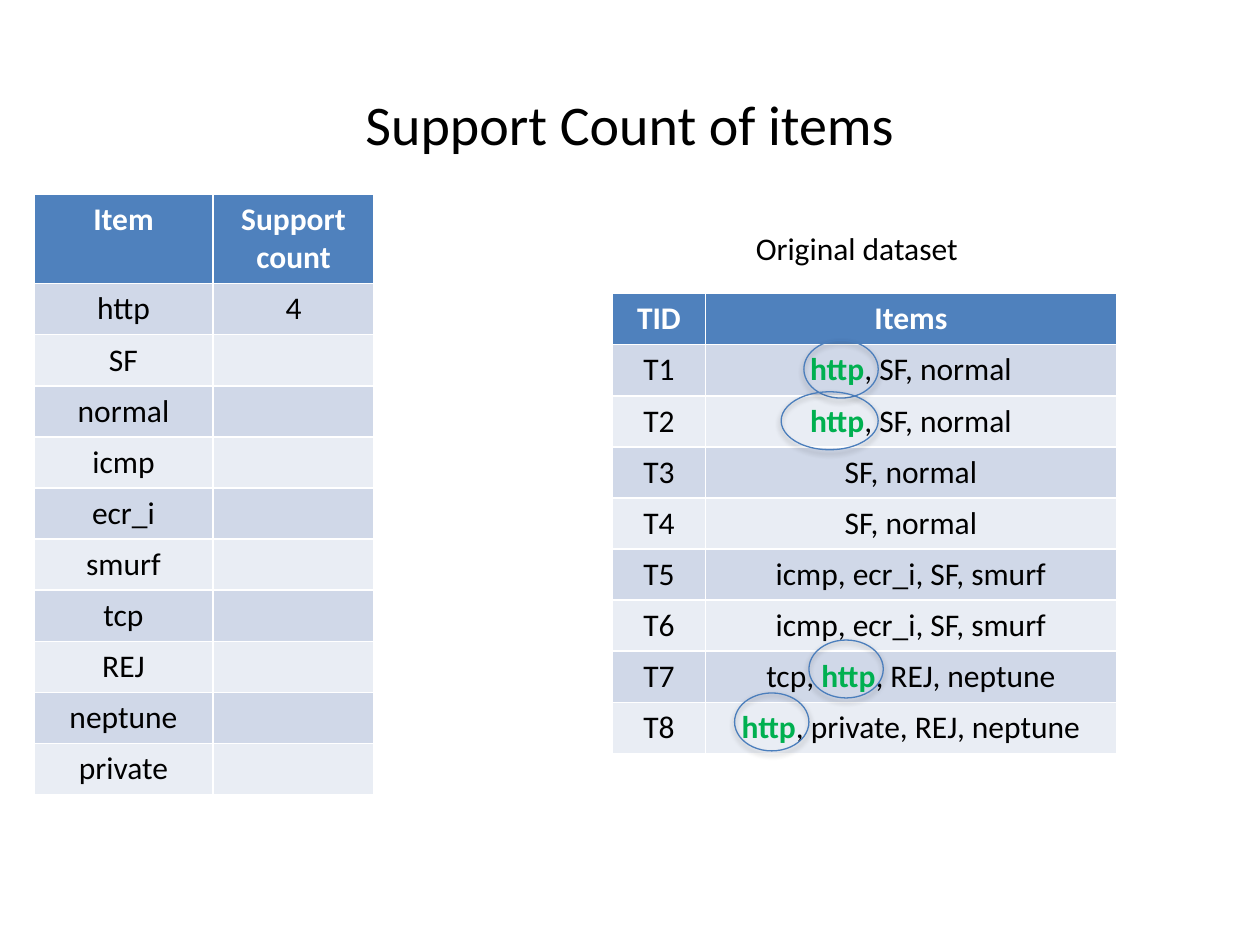
from dataclasses import dataclass

from pptx import Presentation
from pptx.dml.color import RGBColor
from pptx.enum.shapes import MSO_SHAPE
from pptx.enum.text import MSO_ANCHOR, PP_ALIGN
from pptx.util import Inches, Pt


@dataclass(frozen=True)
class Theme:
    font: str = "Calibri"
    title: int = 32
    body: int = 18
    ink: str = "000000"
    white: str = "FFFFFF"
    head: str = "4F81BD"
    bands: tuple = ("D0D8E8", "E9EDF4")
    mark: str = "00B050"
    ring: str = "4B7EBC"


THEME = Theme()
COLS, ROWS = 100, 75
UNIT = Inches(10) // COLS  # the grid has square cells
LINE = 4  # grid rows per table row
KEY = "http"

COUNTS = [("Item", "Support count"), (KEY, "4")] + [
    (item, "") for item in ("SF", "normal", "icmp", "ecr_i", "smurf",
                            "tcp", "REJ", "neptune", "private")]
BASKETS = ["http, SF, normal"] * 2 + ["SF, normal"] * 2 + [
    "icmp, ecr_i, SF, smurf"] * 2 + [
    "tcp, http, REJ, neptune", "http, private, REJ, neptune"]
DATA = [("TID", "Items")] + [
    (f"T{num}", text) for num, text in enumerate(BASKETS, 1)]

# Left, top and width of each ring, in grid cells
RINGS = [(63.8, 27, 5.9), (62, 31.1, 7.7), (64.2, 50.8, 5.9), (58.3, 55, 5.9)]
RING_H = 4.6


def grid(*cells):
    return [round(cell * UNIT) for cell in cells]


def style(font, color, size=THEME.body, bold=False):
    font.name = THEME.font
    font.size = Pt(size)
    font.bold = bold
    font.color.rgb = RGBColor.from_string(color)


def add_title(slide, text):
    title = slide.shapes.title
    title.left, title.top, title.width, title.height = grid(0, 6.6, COLS, 6.4)
    frame = title.text_frame
    frame.text = text
    frame.vertical_anchor = MSO_ANCHOR.MIDDLE
    para = frame.paragraphs[0]
    para.alignment = PP_ALIGN.CENTER
    style(para.runs[0].font, THEME.ink, THEME.title)


def add_label(slide, text, *box):
    frame = slide.shapes.add_textbox(*grid(*box)).text_frame
    frame.word_wrap = True
    frame.text = text
    style(frame.paragraphs[0].runs[0].font, THEME.ink)


def fill_cell(cell, text, row):
    """Write a cell, with the key item picked out in body rows."""
    color = THEME.bands[(row - 1) % 2] if row else THEME.head
    cell.fill.solid()
    cell.fill.fore_color.rgb = RGBColor.from_string(color)
    para = cell.text_frame.paragraphs[0]
    para.alignment = PP_ALIGN.CENTER
    style(para.font, THEME.ink if row else THEME.white, bold=not row)
    before, key, after = text.partition(KEY)
    for part in filter(None, (before, key, after)):
        run = para.add_run()
        run.text = part
        marked = part == KEY and text != KEY
        ink = THEME.mark if marked else THEME.ink
        style(run.font, ink if row else THEME.white, bold=marked or not row)


def add_grid(slide, data, left, top, widths):
    box = grid(left, top, sum(widths), LINE * len(data))
    table = slide.shapes.add_table(len(data), len(widths), *box).table
    for col, width in zip(table.columns, grid(*widths)):
        col.width = width
    for row, texts in enumerate(data):
        for col, text in enumerate(texts):
            fill_cell(table.cell(row, col), text, row)


def add_ring(slide, left, top, width):
    # The ring keeps the soft shadow of the theme
    ring = slide.shapes.add_shape(
        MSO_SHAPE.OVAL, *grid(left, top, width, RING_H))
    ring.fill.background()
    ring.line.color.rgb = RGBColor.from_string(THEME.ring)
    ring.line.width = Pt(0.75)


def main():
    deck = Presentation()
    deck.slide_width, deck.slide_height = grid(COLS, ROWS)
    slide = deck.slides.add_slide(deck.slide_layouts[5])

    # Title and support counts
    add_title(slide, "Support Count of items")
    add_grid(slide, COUNTS, 2.7, 15.4, (14.2, 12.8))

    # Dataset, with the key item ringed
    add_grid(slide, DATA, 48.6, 23.3, (7.4, 32.6))
    add_label(slide, "Original dataset", 59, 17.7, 27, 4)
    for ring in RINGS:
        add_ring(slide, *ring)

    deck.save("out.pptx")


if __name__ == "__main__":
    main()
